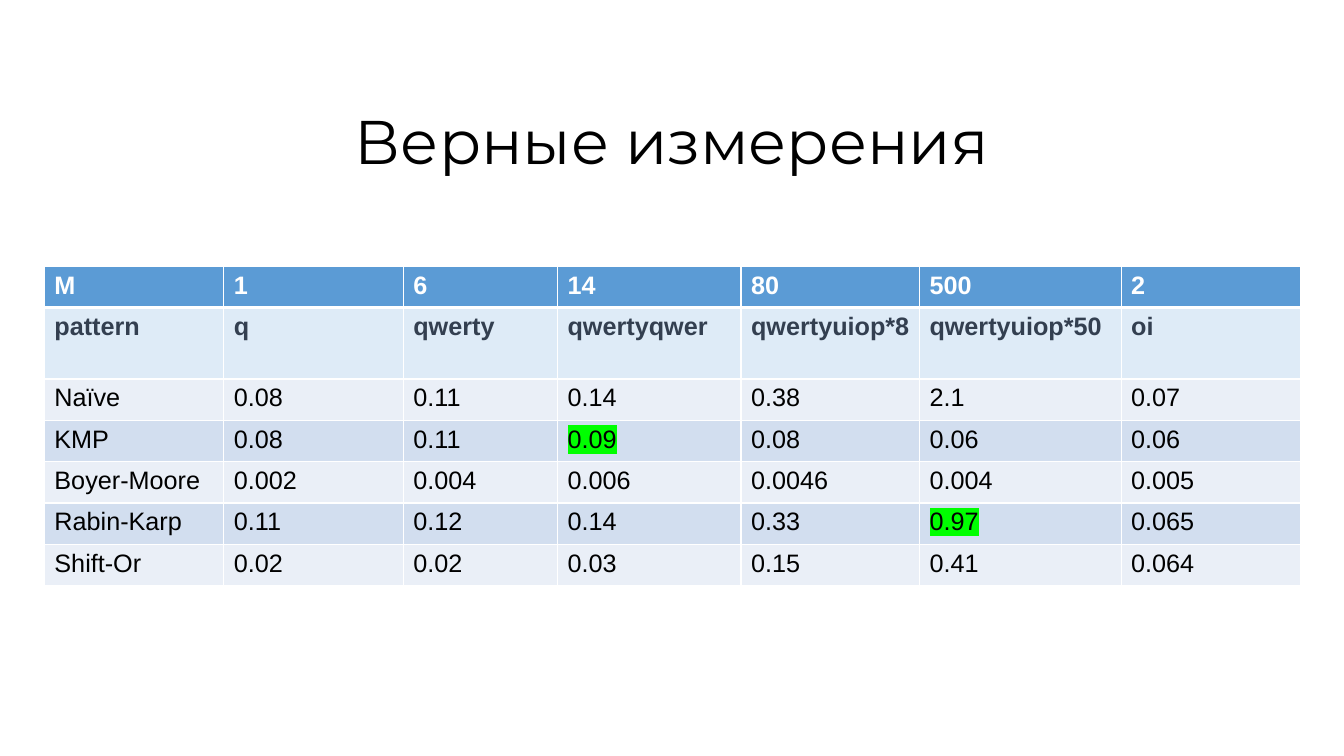
from lxml import etree
from pptx import Presentation
from pptx.dml.color import RGBColor
from pptx.enum.text import MSO_ANCHOR, PP_ALIGN
from pptx.oxml.ns import qn
from pptx.util import Pt

EMU_PER_PX = 9144
TITLE_ONLY = 5
CENTER = PP_ALIGN.CENTER
MIDDLE = MSO_ANCHOR.MIDDLE

COLUMN_WIDTHS = [178, 178, 153, 182, 177, 200, 178]
ROW_HEIGHT = 41
PATTERN_ROW_HEIGHT = 71
MEASUREMENTS = [
    ["M", "1", "6", "14", "80", "500", "2"],
    ["pattern", "q", "qwerty", "qwertyqwer", "qwertyuiop*8", "qwertyuiop*50", "oi"],
    ["Naïve", "0.08", "0.11", "0.14", "0.38", "2.1", "0.07"],
    ["KMP", "0.08", "0.11", "0.09", "0.08", "0.06", "0.06"],
    ["Boyer-Moore", "0.002", "0.004", "0.006", "0.0046", "0.004", "0.005"],
    ["Rabin-Karp", "0.11", "0.12", "0.14", "0.33", "0.97", "0.065"],
    ["Shift-Or", "0.02", "0.02", "0.03", "0.15", "0.41", "0.064"],
]
HIGHLIGHTED = {(3, 3), (5, 5)}


def px(length):
    return length * EMU_PER_PX


def color(value):
    return RGBColor.from_string(value)


def add_color(parent, value):
    etree.SubElement(parent, qn("a:srgbClr"), val=value)


class SlideBuilder:
    title_font = "Montserrat"
    table_font = "Arial"
    text = "000000"
    white = "FFFFFF"
    header_fill = "5B9BD5"
    pattern_fill = "DEEBF7"
    pattern_text = "333F50"
    bands = ["EAEFF7", "D2DEEF"]
    highlight = "00FF00"

    def __init__(self, slide):
        self.slide = slide

    def format_run(self, run, font, size, ink, bold=False):
        run.font.name = font
        run.font.size = Pt(size)
        run.font.bold = bold
        run.font.color.rgb = color(ink)

    def title(self, text, left, top, width, height):
        heading = self.slide.shapes.title
        heading.left, heading.top = px(left), px(top)
        heading.width, heading.height = px(width), px(height)
        frame = heading.text_frame
        frame.text = text
        frame.word_wrap = True
        frame.vertical_anchor = MIDDLE
        paragraph = frame.paragraphs[0]
        paragraph.alignment = CENTER
        paragraph.line_spacing = 0.9
        self.format_run(paragraph.runs[0], self.title_font, 44, self.text)

    def row_style(self, row):
        if row == 0:
            return self.header_fill, self.white, True
        if row == 1:
            return self.pattern_fill, self.pattern_text, True
        return self.bands[row % 2], self.text, False

    def borders(self, cell, row):
        top = 3 if row == 1 else 1
        bottom = 3 if row == 0 else 1
        properties = cell._tc.get_or_add_tcPr()
        sides = [("a:lnL", 1), ("a:lnR", 1), ("a:lnT", top), ("a:lnB", bottom)]
        for position, (side, weight) in enumerate(sides):
            border = etree.Element(qn(side), w=str(Pt(weight)))
            add_color(etree.SubElement(border, qn("a:solidFill")), self.white)
            properties.insert(position, border)

    def mark(self, run):
        marker = etree.Element(qn("a:highlight"))
        add_color(marker, self.highlight)
        run.font._element.find(qn("a:solidFill")).addnext(marker)

    def cell(self, cell, text, row, marked):
        fill, ink, bold = self.row_style(row)
        cell.margin_right = px(5)
        cell.fill.solid()
        cell.fill.fore_color.rgb = color(fill)
        self.borders(cell, row)
        cell.text_frame.text = text
        run = cell.text_frame.paragraphs[0].runs[0]
        self.format_run(run, self.table_font, 18, ink, bold)
        if marked:
            self.mark(run)

    def table(self, rows, widths, heights, highlighted, left, top):
        grid = self.slide.shapes.add_table(
            len(rows), len(widths), px(left), px(top), px(sum(widths)), px(sum(heights))
        ).table
        for column, width in zip(grid.columns, widths):
            column.width = px(width)
        for row, height in zip(grid.rows, heights):
            row.height = px(height)
        for row, values in enumerate(rows):
            for column, value in enumerate(values):
                marked = (row, column) in highlighted
                self.cell(grid.cell(row, column), value, row, marked)


def main():
    presentation = Presentation()
    presentation.slide_width, presentation.slide_height = px(1333), px(750)
    slide = presentation.slides.add_slide(presentation.slide_layouts[TITLE_ONLY])
    builder = SlideBuilder(slide)
    builder.title("Верные измерения", 246, 71, 841, 145)
    heights = [ROW_HEIGHT] * len(MEASUREMENTS)
    heights[1] = PATTERN_ROW_HEIGHT
    builder.table(MEASUREMENTS, COLUMN_WIDTHS, heights, HIGHLIGHTED, 44, 264)
    presentation.save("out.pptx")


if __name__ == "__main__":
    main()
